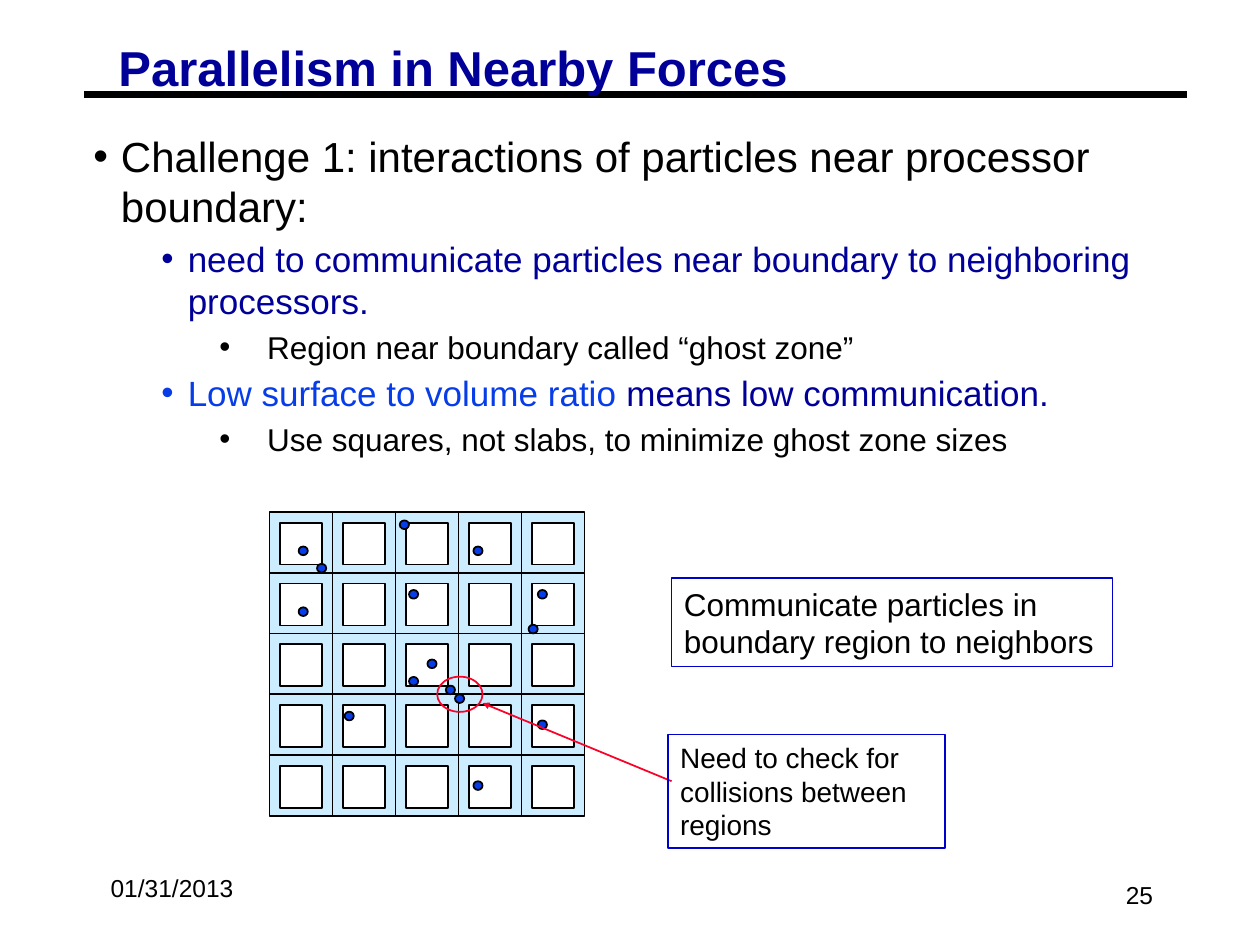
from pptx import Presentation
from pptx.dml.color import RGBColor
from pptx.enum.shapes import MSO_CONNECTOR, MSO_SHAPE
from pptx.enum.text import MSO_ANCHOR, PP_ALIGN
from pptx.oxml.ns import qn
from pptx.util import Inches, Pt
from lxml.etree import SubElement

WIDE, HIGH = Inches(10), Inches(7.5)
BLACK, WHITE, NAVY = "000000", "FFFFFF", "000099"
BLUE, EDGE, PALE, RED = "063DE8", "0000CC", "CCECFF", "FC0128"

# Level: size, left indent, hanging indent, space before, colour
LEVELS = [
    (24, 0.22, 0.22, 0, BLACK),
    (20, 0.75, 0.21, 3.7, NAVY),
    (18, 1.38, 0.38, 3.4, BLACK),
]
# Each item: level, then runs of text with their own colour or None
ITEMS = [
    (0, [("Challenge 1: interactions of particles near processor boundary:", None)]),
    (1, [("need to communicate particles near boundary to neighboring processors.", None)]),
    (2, [("Region near boundary called “ghost zone”", None)]),
    (1, [("Low surface to volume ratio ", BLUE), ("means low communication.", None)]),
    (2, [("Use squares, not slabs, to minimize ghost zone sizes", None)]),
]
# Particles as columns and rows of a fine lattice
DOTS = [(0, 3), (2, 5), (0, 10), (12, 18), (11, 0), (14, 16), (5, 22), (16, 19),
        (25, 12), (17, 20), (19, 3), (19, 30), (26, 23), (26, 8), (12, 8)]


def tint(code):
    return RGBColor.from_string(code)


def place(x, y, w, h):
    """Turn percent of the slide's width and height into lengths."""
    return [round(part * side / 100)
            for part, side in zip((x, y, w, h), (WIDE, HIGH, WIDE, HIGH))]


def style(run, size, color, bold=False):
    font = run.font
    font.name, font.size, font.bold = "Arial", Pt(size), bold
    font.color.rgb = tint(color)


def frame(shape, pad):
    body = shape.text_frame
    body.word_wrap = True
    body.vertical_anchor = MSO_ANCHOR.TOP
    body.margin_left = body.margin_right = Inches(pad)
    body.margin_top = body.margin_bottom = Inches(pad / 2)
    return body


def write(shape, text, size, color=BLACK, bold=False, pad=0.1, align=PP_ALIGN.LEFT):
    body = frame(shape, pad)
    body.text = text
    line = body.paragraphs[0]
    line.alignment = align
    style(line.runs[0], size, color, bold)
    return line


def label(slide, area, text, size, **look):
    return write(slide.shapes.add_textbox(*place(*area)), text, size, **look)


def draw(slide, kind, area, fill, edge):
    shape = slide.shapes.add_shape(kind, *place(*area))
    shape.shadow.inherit = False
    if fill:
        shape.fill.solid()
        shape.fill.fore_color.rgb = tint(fill)
    else:
        shape.fill.background()
    shape.line.color.rgb = tint(edge)
    shape.line.width = Pt(1)
    return shape


def rule(slide, start, end, color, width, arrow=False):
    x, y, to_x, to_y = place(*start, *end)
    line = slide.shapes.add_connector(MSO_CONNECTOR.STRAIGHT, x, y, to_x, to_y)
    line.line.color.rgb = tint(color)
    line.line.width = Pt(width)
    if arrow:
        SubElement(line.line._get_or_add_ln(), qn("a:tailEnd"),
                   type="triangle", w="sm", len="sm")
    SubElement(line._element.spPr, qn("a:effectLst"))


def bullet(para, color, left, hang):
    props = para._p.get_or_add_pPr()
    props.set("marL", str(Inches(left)))
    props.set("indent", str(-Inches(hang)))
    SubElement(SubElement(props, qn("a:buClr")), qn("a:srgbClr"), val=color)
    SubElement(props, qn("a:buFont"), typeface="Arial")
    SubElement(props, qn("a:buChar"), char="•")


def points(slide, area):
    body = frame(slide.shapes.add_textbox(*place(*area)), 0.07)
    for i, (level, parts) in enumerate(ITEMS):
        para = body.add_paragraph() if i else body.paragraphs[0]
        size, left, hang, before, base = LEVELS[level]
        para.level = level
        para.space_before = Pt(before)
        bullet(para, parts[0][1] or base, left, hang)
        for text, color in parts:
            run = para.add_run()
            run.text = text
            style(run, size, color or base)


def cells(slide, left, top, wide, high, count=5):
    for col in range(count):
        for row in range(count):
            x, y = left + col * wide, top + row * high
            draw(slide, MSO_SHAPE.RECTANGLE, (x, y, wide, high), PALE, BLACK)
            draw(slide, MSO_SHAPE.RECTANGLE, (x + 0.83, y + 1.15, 3.33, 4.44), WHITE, BLACK)


def dots(slide, left, top, across, down):
    for col, row in DOTS:
        area = (left + col * across, top + row * down, 0.73, 0.92)
        draw(slide, MSO_SHAPE.OVAL, area, BLUE, BLACK)


def note(slide, area, text, size):
    write(draw(slide, MSO_SHAPE.RECTANGLE, area, None, EDGE), text, size)


def main():
    deck = Presentation()
    deck.slide_width, deck.slide_height = WIDE, HIGH
    slide = deck.slides.add_slide(deck.slide_layouts[6])

    # Heading and footer
    rule(slide, (6.7, 10), (94.2, 10), BLACK, 3.75)
    label(slide, (7.8, 91.7, 13, 4.5), "01/31/2013", 14)
    label(slide, (71.7, 92.5, 20.8, 4.5), "25", 14, align=PP_ALIGN.RIGHT)
    title = label(slide, (8.7, 4.4, 73.8, 6.1), "Parallelism in Nearby Forces", 28,
                  color=NAVY, bold=True, pad=0.07)
    title.line_spacing = 0.87

    # Bulleted text
    points(slide, (6.7, 13.33, 87.5, 36.1))

    # Regions with ghost zones, and their particles
    cells(slide, 21.4, 54.17, 5, 6.43)
    note(slide, (53.3, 61.2, 35, 9.33), "Communicate particles in boundary region to neighbors", 18)
    dots(slide, 23.7, 55.07, 0.73, 0.92)

    # Collision across a boundary
    draw(slide, MSO_SHAPE.OVAL, (34.7, 71.6, 3.6, 3.73), None, RED)
    rule(slide, (53.3, 82.67), (38.3, 74.4), RED, 1, arrow=True)
    note(slide, (53, 77.73, 22, 12), "Need to check for collisions between regions", 16)

    deck.save("out.pptx")


if __name__ == "__main__":
    main()
